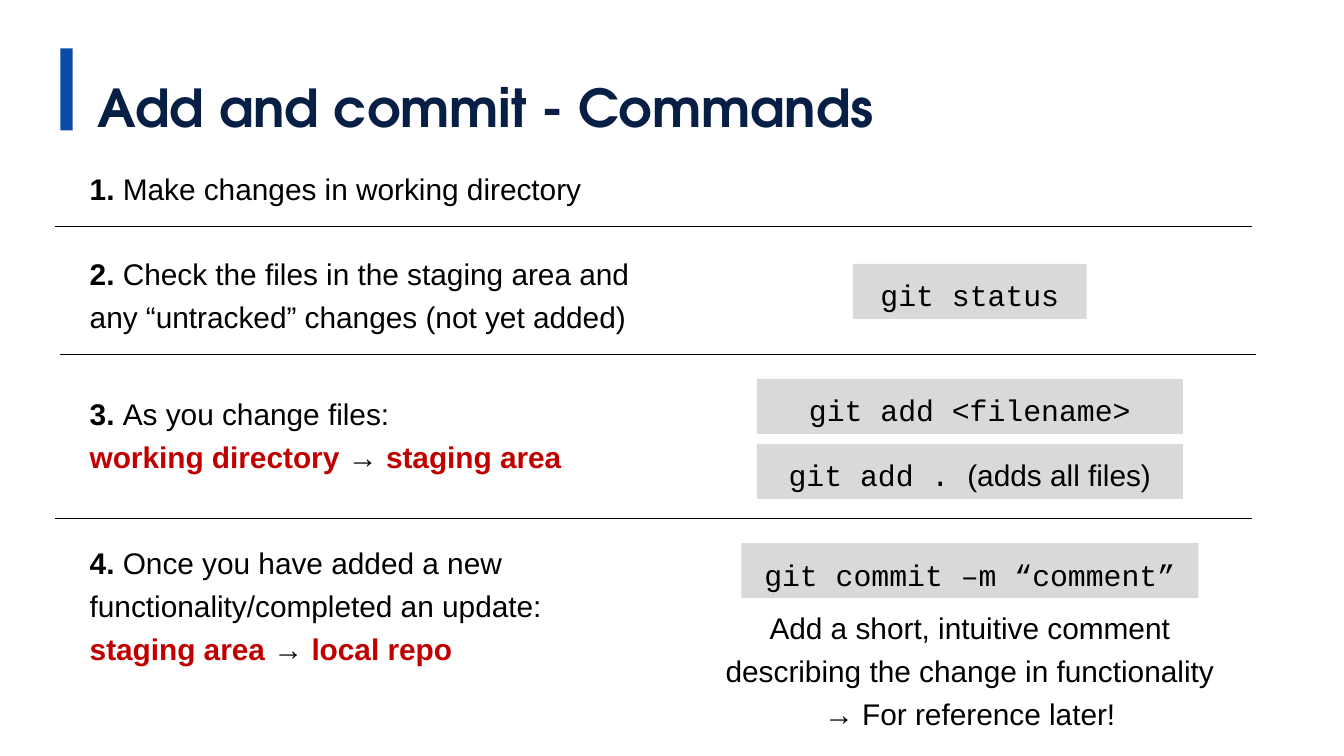
from pptx import Presentation
from pptx.dml.color import RGBColor
from pptx.enum import shapes, text
from pptx.util import Pt
from lxml import etree

BLACK, RED, NAVY, BLUE, GREY = "000000", "C00000", "071F45", "0A4CA8", "D9D9D9"
SANS, MONO, DISPLAY = "Arial", "Courier New", "TeX Gyre Adventor"


def plain(words):
    return words, SANS, BLACK, False


def strong(words, color=BLACK):
    return words, SANS, color, True


def code(words):
    return words, MONO, BLACK, False


TITLE = [[("Add and commit - Commands", DISPLAY, NAVY, True)]]
STEPS = [
    (85, 1, [[strong("1. "), plain("Make changes in working directory")]]),
    (130.3, 2, [[strong("2. "), plain("Check the files in the staging area and any “untracked” changes (not yet added)")]]),
    (205.2, 2, [[strong("3. "), plain("As you change files:")],
                [strong("working directory ", RED), strong("→ "), strong("staging area", RED)]]),
    (285.1, 3, [[strong("4. "), plain("Once you have added a new functionality/completed an update:")],
                [strong("staging area ", RED), strong("→ "), strong("local repo", RED)]]),
]
COMMANDS = [
    (141.3, 125.3, [[code("git status")]]),
    (203, 228.2, [[code("git add <filename>")]]),
    (237.8, 228.2, [[code("git add . "), plain("(adds all files)")]]),
    (291, 244.8, [[code("git commit –m “comment”")]]),
]
ADVICE = [[plain("Add a short, intuitive comment describing the change in functionality")],
          [plain("→ For reference later!")]]
DIVIDERS = [(29.7, 121.1), (32.2, 190), (29.7, 277.9)]

STEP_LEFT, STEP_WIDTH = 41, 309.6
COMMAND_CENTER, COMMAND_HEIGHT = 519.6, 29.5
ADVICE_TOP, ADVICE_WIDTH = 319.7, 283.7
DIVIDER_WIDTH = 640.8


def rgb(color):
    return RGBColor.from_string(color)


def step_height(lines):
    return 5 + 23.3 * lines


def write(holder, paragraphs, size=16, spacing=1.2, align=text.PP_ALIGN.LEFT,
          anchor=text.MSO_ANCHOR.MIDDLE):
    frame = holder.text_frame
    frame.word_wrap = True
    frame.vertical_anchor = anchor
    for index, runs in enumerate(paragraphs):
        paragraph = frame.add_paragraph() if index else frame.paragraphs[0]
        paragraph.alignment = align
        paragraph.line_spacing = spacing
        for words, face, color, bold in runs:
            run = paragraph.add_run()
            run.text = words
            run.font.name = face
            run.font.size = Pt(size)
            run.font.bold = bold
            run.font.color.rgb = rgb(color)


def add_text(left, top, width, height, paragraphs, **style):
    box = slide.shapes.add_textbox(Pt(left), Pt(top), Pt(width), Pt(height))
    write(box, paragraphs, **style)


def add_bar(left, top, width, height, color):
    bar = slide.shapes.add_shape(shapes.MSO_SHAPE.RECTANGLE, Pt(left), Pt(top), Pt(width), Pt(height))
    bar.shadow.inherit = False
    bar.fill.solid()
    bar.fill.fore_color.rgb = rgb(color)
    bar.line.fill.background()
    return bar


def add_divider(left, top):
    divider = slide.shapes.add_connector(
        shapes.MSO_CONNECTOR.STRAIGHT, Pt(left), Pt(top), Pt(left + DIVIDER_WIDTH), Pt(top))
    divider.line.color.rgb = rgb(BLACK)
    divider.line.width = Pt(0.5)
    etree.SubElement(divider.line._get_or_add_ln().getparent(),
                     "{http://schemas.openxmlformats.org/drawingml/2006/main}effectLst")


deck = Presentation()
deck.slide_width, deck.slide_height = Pt(720), Pt(405)
slide = deck.slides.add_slide(deck.slide_layouts[6])

add_bar(32.4, 25.9, 6.5, 43.9, BLUE)
add_text(45.4, 13, 532.8, 56.9, TITLE, size=28, spacing=1.7, anchor=text.MSO_ANCHOR.TOP)

for left, top in DIVIDERS:
    add_divider(left, top)

for top, lines, paragraphs in STEPS:
    add_text(STEP_LEFT, top, STEP_WIDTH, step_height(lines), paragraphs)

for top, width, paragraphs in COMMANDS:
    command = add_bar(COMMAND_CENTER - width / 2, top, width, COMMAND_HEIGHT, GREY)
    write(command, paragraphs, align=text.PP_ALIGN.CENTER)

add_text(COMMAND_CENTER - ADVICE_WIDTH / 2, ADVICE_TOP, ADVICE_WIDTH, step_height(3), ADVICE,
         align=text.PP_ALIGN.CENTER)

deck.save("out.pptx")
